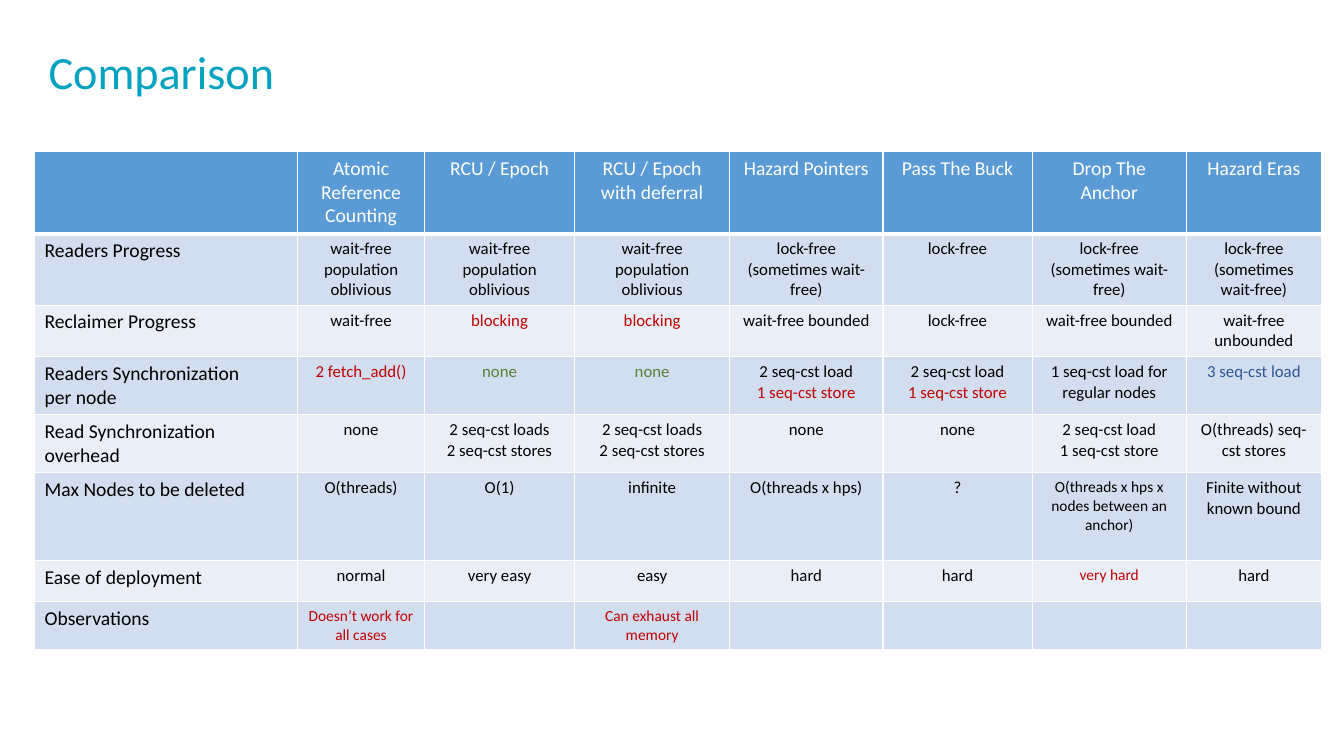
import lxml.etree
import pptx
import pptx.dml.color
import pptx.enum.text
import pptx.oxml
import pptx.oxml.ns
import pptx.util

Cm = pptx.util.Cm
ALIGN = pptx.enum.text.PP_ALIGN

THEME = {
    "font": "Calibri",
    "title": "00A2BF", "header": "5B9BD5", "bands": ("D2DEEF", "EAEFF7"),
    "white": "FFFFFF", "black": "000000",
    "bad": "C00000", "good": "548235", "notable": "2F5597",
    "title_size": 33, "label_size": 14, "cell_size": 12, "small_size": 11,
}


def write_text(frame, lines, size="cell_size", color="black", align=ALIGN.CENTER, spacing=None):
    """Write one paragraph per line; a line may be (text, its own format)."""
    for index, line in enumerate(lines):
        text, own = line if isinstance(line, tuple) else (line, {})
        paragraph = frame.paragraphs[0] if index == 0 else frame.add_paragraph()
        paragraph.alignment = align
        paragraph.line_spacing = spacing
        run = paragraph.add_run()
        run.text = text
        run.font.name = THEME["font"]
        run.font.size = pptx.util.Pt(THEME[own.get("size", size)])
        run.font.color.rgb = pptx.dml.color.RGBColor.from_string(THEME[own.get("color", color)])


def paint_cell(cell, fill, bottom_width=1):
    """Give a cell white borders and a solid fill."""
    properties = cell._tc.get_or_add_tcPr()
    for side, width in (("L", 1), ("R", 1), ("T", 1), ("B", bottom_width)):
        border = lxml.etree.SubElement(properties, pptx.oxml.ns.qn("a:ln" + side), w=str(pptx.util.Pt(width)))
        solid = lxml.etree.SubElement(border, pptx.oxml.ns.qn("a:solidFill"))
        lxml.etree.SubElement(solid, pptx.oxml.ns.qn("a:srgbClr"), val=THEME["white"])
    cell.fill.solid()
    cell.fill.fore_color.rgb = pptx.dml.color.RGBColor.from_string(fill)


BAD = {"color": "bad"}
GOOD = {"color": "good"}
SMALL = {"size": "small_size"}
SMALL_BAD = {**BAD, **SMALL}

oblivious = ["wait-free population oblivious"]
sometimes = ["lock-free (sometimes wait-free)"]
blocking = [("blocking", BAD)]
load_and_store = ["2 seq-cst load", ("1 seq-cst store", BAD)]
loads_and_stores = ["2 seq-cst loads", "2 seq-cst stores"]

# Each row: height in centimetres, then one list of lines per cell
rows = [
    (2.07, [[], ["Atomic", "Reference", "Counting"], ["RCU / Epoch"],
            ["RCU / Epoch", "with deferral"], ["Hazard Pointers"], ["Pass The Buck"],
            ["Drop The Anchor"], ["Hazard Eras"]]),
    (1.79, [["Readers Progress"], oblivious, oblivious, oblivious,
            sometimes, ["lock-free"], sometimes, sometimes]),
    (1.3, [["Reclaimer Progress"], ["wait-free"], blocking, blocking,
           ["wait-free bounded"], ["lock-free"], ["wait-free bounded"], ["wait-free unbounded"]]),
    (1.45, [["Readers Synchronization", "per node"], [("2 fetch_add()", BAD)],
            [("none", GOOD)], [("none", GOOD)], load_and_store, load_and_store,
            ["1 seq-cst load for regular nodes"], [("3 seq-cst load", {"color": "notable"})]]),
    (1.46, [["Read Synchronization overhead"], ["none"], loads_and_stores, loads_and_stores,
            ["none"], ["none"], ["2 seq-cst load", "1 seq-cst store"],
            ["O(threads) seq-cst stores"]]),
    (2.21, [["Max Nodes to be deleted"], ["O(threads)"], ["O(1)"], ["infinite"],
            ["O(threads x hps)"], ["?"],
            [("O(threads x hps x nodes between an anchor)", SMALL)],
            ["Finite without known bound"]]),
    (1.04, [["Ease of deployment"], ["normal"], ["very easy"], ["easy"], ["hard"], ["hard"],
            [("very hard", SMALL_BAD)], ["hard"]]),
    (1.2, [["Observations"], [("Doesn’t work for all cases", SMALL_BAD)], [],
           [("Can exhaust all memory", SMALL_BAD)], [], [], [], []]),
]
column_widths = [6.63, 3.2, 3.78, 3.91, 3.86, 3.76, 3.89, 3.4]

presentation = pptx.Presentation()
presentation.slide_width = Cm(33.87)
presentation.slide_height = Cm(19.05)
slide = presentation.slides.add_slide(presentation.slide_layouts.get_by_name("Title Only"))

title = slide.shapes.title
title.left, title.top, title.width, title.height = Cm(0.97), Cm(1.12), Cm(32.08), Cm(2.69)
title.text_frame.auto_size = pptx.enum.text.MSO_AUTO_SIZE.NONE
title.text_frame.vertical_anchor = pptx.enum.text.MSO_ANCHOR.TOP
write_text(title.text_frame, ["Comparison"], size="title_size", color="title",
           align=ALIGN.LEFT, spacing=0.9)

table = slide.shapes.add_table(
    len(rows), len(column_widths), Cm(0.87), Cm(3.82),
    Cm(sum(column_widths)), Cm(sum(height for height, _ in rows))).table
for column, width in zip(table.columns, column_widths):
    column.width = Cm(width)

for row_index, (height, cells) in enumerate(rows):
    table.rows[row_index].height = Cm(height)
    is_header = row_index == 0
    fill = THEME["header"] if is_header else THEME["bands"][(row_index - 1) % 2]
    for column_index, lines in enumerate(cells):
        cell = table.cell(row_index, column_index)
        paint_cell(cell, fill, bottom_width=3 if is_header else 1)
        is_label = column_index == 0
        write_text(cell.text_frame, lines,
                   size="label_size" if is_header or is_label else "cell_size",
                   color="white" if is_header else "black",
                   align=ALIGN.LEFT if is_label else ALIGN.CENTER)
        if is_header:
            for paragraph in cell.text_frame.paragraphs:
                for run in paragraph.runs:
                    run.font.bold = False

presentation.save("out.pptx")
